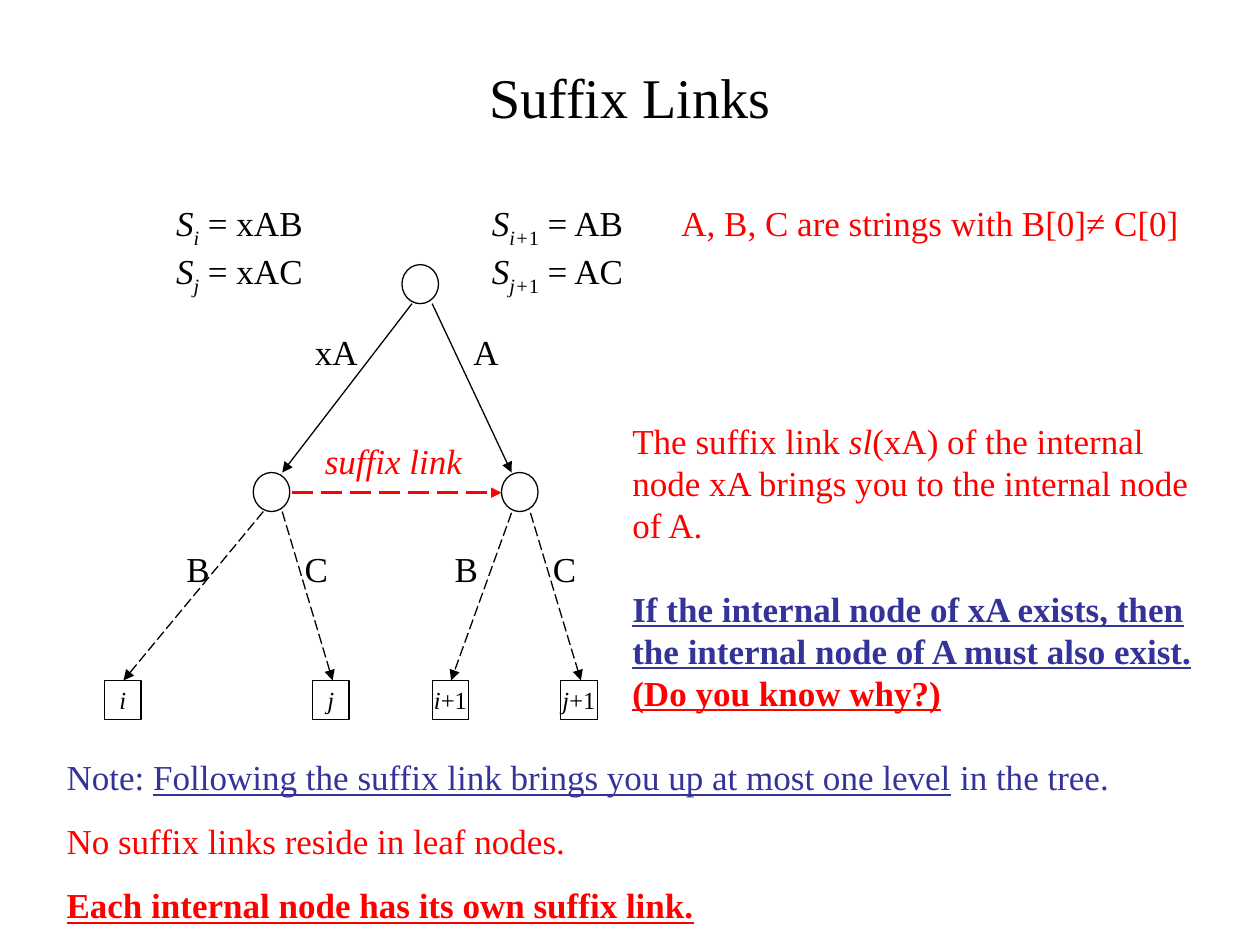
from lxml import etree
from pptx import Presentation
from pptx import util as u
from pptx.dml.color import RGBColor
from pptx.enum import dml, shapes, text
from pptx.oxml.ns import qn

PX = 9144
BLACK, RED, BLUE = "000000", "FF0000", "333399"
FACE = "Times New Roman"
hue = RGBColor.from_string
LEFT, MID = text.PP_ALIGN.LEFT, text.PP_ALIGN.CENTER
TOP, HALF = text.MSO_ANCHOR.TOP, text.MSO_ANCHOR.MIDDLE

deck = Presentation()
deck.slide_width, deck.slide_height = 1000 * PX, 750 * PX
page = deck.slides.add_slide(deck.slide_layouts[6])
items = page.shapes


def box(*place):
    return items.add_textbox(*[n * PX for n in place])


def fill(shape, paras, size=20, align=LEFT, wrap=True, anchor=TOP, gaps=()):
    frame = shape.text_frame
    frame.word_wrap = wrap
    frame.vertical_anchor = anchor
    if anchor == TOP:
        frame.auto_size = text.MSO_AUTO_SIZE.SHAPE_TO_FIT_TEXT
    for k, runs in enumerate(paras):
        para = frame.paragraphs[0] if k == 0 else frame.add_paragraph()
        para.alignment = align
        if k and gaps:
            para.space_before = u.Pt(gaps[k - 1])
        for words, color, marks in runs:
            run = para.add_run()
            run.text = words
            look = {"name": FACE, "size": u.Pt(size), "bold": "b" in marks,
                    "italic": "i" in marks, "underline": "u" in marks}
            for key, value in look.items():
                setattr(run.font, key, value)
            run.font.color.rgb = hue(color)
            if "s" in marks:
                run.font._element.set("baseline", "-25000")


fill(box(50, 30, 900, 93), [[("Suffix Links", BLACK, "")]], 32, MID, anchor=HALF)

edges = [
    (327, 241, 224, 375, BLACK, 0.75, False),
    (343, 241, 406, 375, BLACK, 0.75, False),
    (209, 406, 98, 540, BLACK, 0.75, True),
    (224, 406, 264, 540, BLACK, 0.75, True),
    (406, 407, 358, 540, BLACK, 0.75, True),
    (421, 407, 461, 540, BLACK, 0.75, True),
    (232, 391, 398, 391, RED, 1.5, True),
]
for *ends, color, width, dash in edges:
    edge = items.add_connector(shapes.MSO_CONNECTOR.STRAIGHT, *[n * PX for n in ends])
    edge.line.color.rgb = hue(color)
    edge.line.width = u.Pt(width)
    if dash:
        edge.line.dash_style = dml.MSO_LINE.LONG_DASH
    etree.SubElement(edge.line._get_or_add_ln(), qn("a:tailEnd"), type="triangle")
    etree.SubElement(edge._element.spPr, qn("a:effectLst"))

OVAL, RECT = shapes.MSO_SHAPE.OVAL, shapes.MSO_SHAPE.RECTANGLE
nodes = [
    (OVAL, 319, 210, "", ""),
    (OVAL, 201, 375, "", ""),
    (OVAL, 398, 375, "", ""),
    (RECT, 83, 540, "i", ""),
    (RECT, 248, 540, "j", ""),
    (RECT, 343, 540, "i", "+1"),
    (RECT, 445, 540, "j", "+1"),
]
for kind, x, y, name, plus in nodes:
    node = items.add_shape(kind, x * PX, y * PX, 29 * PX, 31 * PX)
    node.shadow.inherit = False
    node.fill.background()
    node.line.color.rgb = hue(BLACK)
    node.line.width = u.Pt(0.75)
    if name:
        runs = [(name, BLACK, "i")] + ([(plus, BLACK, "")] if plus else [])
        fill(node, [runs], 14, MID, False, HALF)

labels = [("xA", 240, 257, 54), ("A", 366, 257, 40), ("B", 138, 430, 38),
          ("C", 232, 430, 38), ("B", 351, 430, 38), ("C", 429, 430, 38)]
for name, x, y, width in labels:
    fill(box(x, y, width, 44), [[(name, BLACK, "")]], wrap=False)

for x, width, plus in [(128, 124, False), (379, 127, True)]:
    paras = []
    for name, tail in [("i", "B"), ("j", "C")]:
        runs = [("S", BLACK, "i")]
        if plus:
            runs += [(name + "+", BLACK, "is"), ("1", BLACK, "s"),
                     (" = A" + tail, BLACK, "")]
        else:
            runs += [(name, BLACK, "is"), (" = xA" + tail, BLACK, "")]
        paras.append(runs)
    fill(box(x, 155, width, 86), paras, align=MID, wrap=False)

fill(box(531, 155, 441, 44), [[("A, B, C are strings with B[0]≠ C[0]", RED, "")]])
fill(box(248, 344, 150, 44), [[("suffix link", RED, "i")]])

fill(box(492, 328, 465, 244), [
    [("The suffix link ", RED, ""), ("sl", RED, "i"),
     ("(xA) of the internal node xA brings you to the internal node of A.", RED, "")],
    [("If the internal node of xA exists, then the internal node of A must also exist.",
      BLUE, "bu")],
    [("(Do you know why?)", RED, "bu")],
], gaps=(24, 0))

fill(box(43, 595, 937, 145), [
    [("Note: ", BLUE, ""),
     ("Following the suffix link brings you up at most one level", BLUE, "u"),
     (" in the tree.", BLUE, "")],
    [("No suffix links reside in leaf nodes.", RED, "")],
    [("Each internal node has its own suffix link.", RED, "bu")],
], gaps=(12.5, 12.5))

deck.save("out.pptx")
